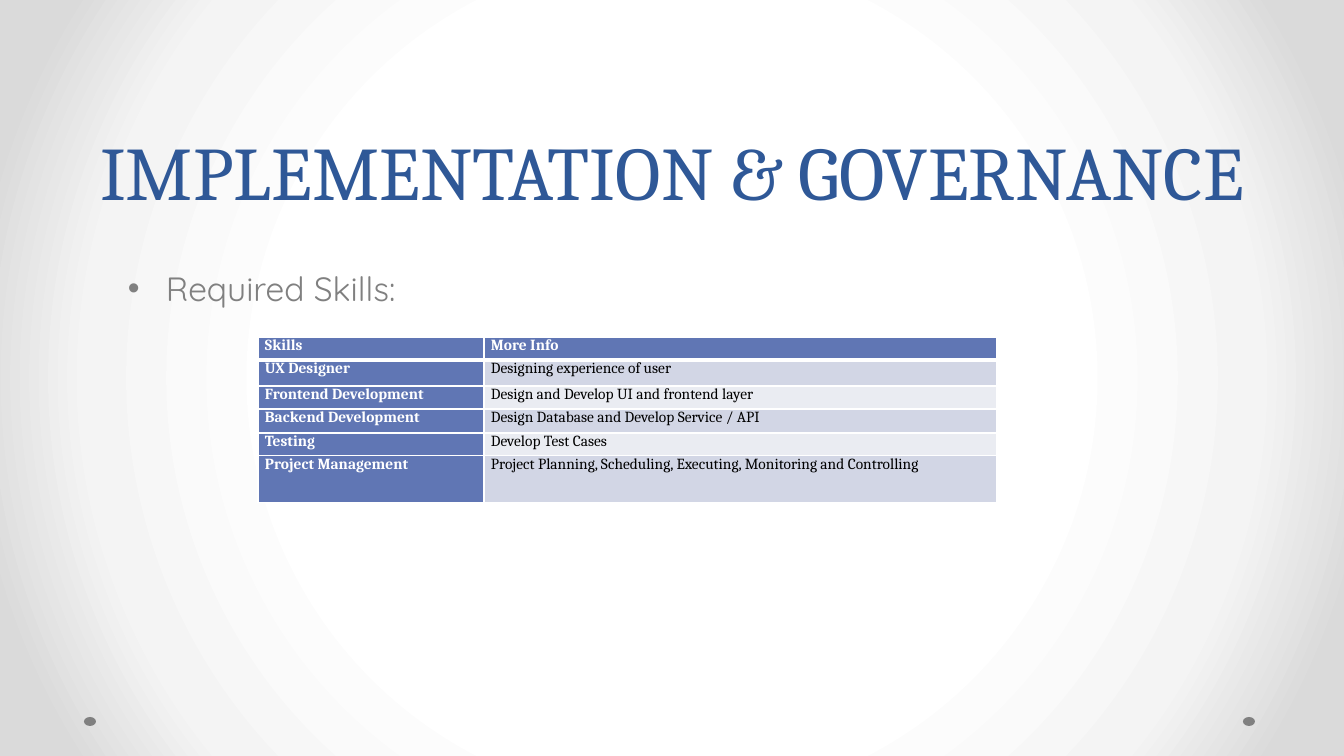
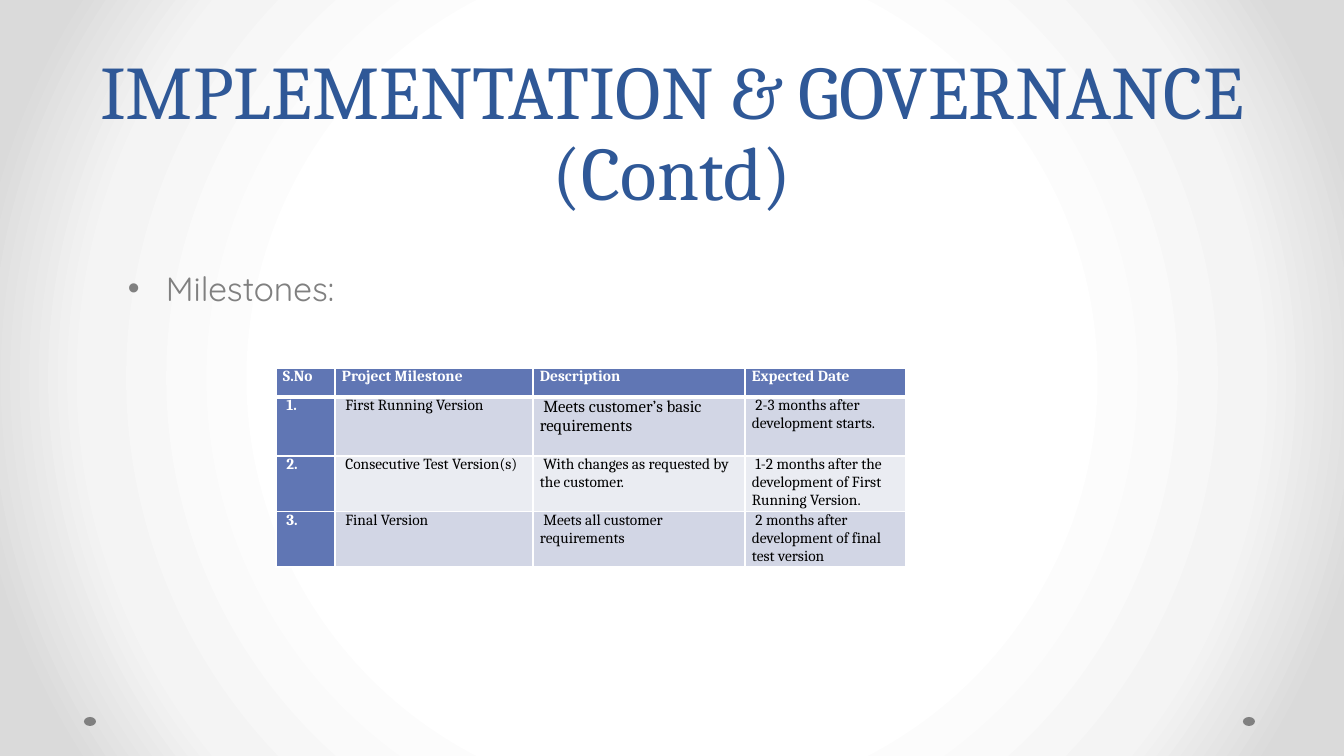
import dataclasses

import lxml.etree
import pptx
import pptx.dml.color
import pptx.enum.shapes
import pptx.enum.text
import pptx.oxml
import pptx.oxml.ns
import pptx.util

SCALE = 914400 / 100.8
SHAPE = pptx.enum.shapes.MSO_SHAPE
ALIGN = pptx.enum.text.PP_ALIGN
ANCHOR = pptx.enum.text.MSO_ANCHOR
BLANK = 6


@dataclasses.dataclass(frozen=True)
class Theme:
    head: str = "2F5897"
    grey: str = "808080"
    blue: str = "6076B4"
    bands: tuple = ("D2D6E5", "EAECF2")
    white: str = "FFFFFF"
    black: str = "000000"
    stops: tuple = ((50, "FFFFFF"), (76, "F4F4F4"), (92, "DADADA"))
    serif: str = "Cambria"
    sans: str = "Quicksand"
    title: int = 54
    lead: int = 58
    body: int = 24
    cell: int = 11
    large: int = 12
    thin: int = 1
    thick: int = 3


def px(*sizes):
    return [pptx.util.Emu(round(size * SCALE)) for size in sizes]


def rgb(color):
    return pptx.dml.color.RGBColor.from_string(color)


def node(text):
    space = pptx.oxml.ns.nsdecls("a")
    return pptx.oxml.parse_xml(text.replace(" ", f" {space} ", 1))


class Deck:
    def __init__(self, theme):
        self.theme = theme
        self.file = pptx.Presentation()
        self.file.slide_width, self.file.slide_height = px(1344, 756)
        self.slide = None
        self.glow()

    def glow(self):
        master = self.file.slide_master
        master.background.fill.gradient()
        old = master.element.find(".//" + pptx.oxml.ns.qn("a:gradFill"))
        stops = "".join(
            f'<a:gs pos="{place * 1000}"><a:srgbClr val="{color}"/></a:gs>'
            for place, color in self.theme.stops
        )
        fade = node(
            f'<a:gradFill rotWithShape="1"><a:gsLst>{stops}</a:gsLst>'
            '<a:path path="circle"><a:fillToRect l="50000" t="50000" r="50000" b="50000"/>'
            "</a:path></a:gradFill>"
        )
        old.getparent().replace(old, fade)

    def page(self, title, point):
        self.slide = self.file.slides.add_slide(self.file.slide_layouts[BLANK])
        for left in (1243, 84):
            self.dot(left, 717)
        self.title(title)
        self.point(point)

    def dot(self, left, top):
        dot = self.slide.shapes.add_shape(SHAPE.OVAL, *px(left, top, 12, 9))
        dot.shadow.inherit = False
        dot.fill.solid()
        dot.fill.fore_color.rgb = rgb(self.theme.grey)
        dot.line.fill.background()

    def run(self, para, text, font, size, color, bold=False):
        run = para.add_run()
        run.text = text
        run.font.name = font
        run.font.size = pptx.util.Pt(size)
        run.font.color.rgb = rgb(color)
        run.font.bold = bold

    def box(self, *place):
        frame = self.slide.shapes.add_textbox(*px(*place)).text_frame
        frame.word_wrap = True
        return frame

    def title(self, text):
        frame = self.box(67, 45, 1210, 176)
        frame.vertical_anchor = ANCHOR.BOTTOM
        para = frame.paragraphs[0]
        para.alignment = ALIGN.CENTER
        para.line_spacing = pptx.util.Pt(self.theme.lead)
        self.run(para, text, self.theme.serif, self.theme.title, self.theme.head)

    def point(self, text):
        para = self.box(118, 243, 1109, 433).paragraphs[0]
        para.line_spacing = 1.5
        para.space_before = pptx.util.Pt(self.theme.body * 0.2)
        dent = px(38)[0]
        props = para._p.get_or_add_pPr()
        props.set("marL", str(dent))
        props.set("indent", str(-dent))
        props.append(node('<a:buFont typeface="Arial"/>'))
        props.append(node('<a:buChar char="•"/>'))
        self.run(para, text, self.theme.sans, self.theme.body, self.theme.grey)

    def edge(self, cell, top):
        props = cell._tc.get_or_add_tcPr()
        thin = self.theme.thin
        sides = {"L": thin, "R": thin}
        if top:
            sides["T"] = thin
        sides["B"] = self.theme.thick if top else thin
        for side, width in sides.items():
            props.append(node(
                f'<a:ln{side} w="{pptx.util.Pt(width)}"><a:solidFill>'
                f'<a:srgbClr val="{self.theme.white}"/></a:solidFill></a:ln{side}>'
            ))

    def cell(self, cell, text, row, col):
        theme = self.theme
        label = row == 0 or col == 0
        self.edge(cell, row == 0)
        cell.fill.solid()
        cell.fill.fore_color.rgb = rgb(theme.blue if label else theme.bands[(row - 1) % 2])
        cell.margin_left, cell.margin_right = px(7, 7)
        cell.margin_top = cell.margin_bottom = 0
        parts = [(text, theme.cell)] if isinstance(text, str) else text
        for part, size in parts:
            color = theme.white if label else theme.black
            self.run(cell.text_frame.paragraphs[0], part, theme.serif, size, color, label)

    def table(self, left, top, cols, rows, data):
        place = px(left, top, sum(cols), sum(rows))
        table = self.slide.shapes.add_table(len(rows), len(cols), *place).table
        for col, width in zip(table.columns, px(*cols)):
            col.width = width
        for row, height in zip(table.rows, px(*rows)):
            row.height = height
        for row, line in enumerate(data):
            for col, text in enumerate(line):
                self.cell(table.cell(row, col), text, row, col)


def main():
    theme = Theme()
    deck = Deck(theme)
    head = "IMPLEMENTATION & GOVERNANCE"

    deck.page(head, "Required Skills:")
    deck.table(258, 337, (226, 513), (23, 26, 23, 24, 23, 47), (
        ("Skills", "More Info"),
        ("UX Designer", "Designing experience of user"),
        ("Frontend Development", "Design and Develop UI and frontend layer"),
        ("Backend Development", "Design Database and Develop Service / API"),
        ("Testing", "Develop Test Cases"),
        ("Project Management",
         "Project Planning, Scheduling, Executing, Monitoring and Controlling"),
    ))

    deck.page(f"{head} (Contd)", "Milestones:")
    deck.table(276, 368, (59, 198, 212, 161), (29, 59, 53, 53), (
        ("S.No", "Project Milestone", "Description", "Expected Date"),
        (" 1.", " First Running Version",
         ((" ", theme.cell), ("Meets customer’s basic requirements", theme.large)),
         " 2-3 months after development starts."),
        (" 2.", " Consecutive Test Version(s)",
         " With changes as requested by the customer.",
         " 1-2 months after the development of First Running Version."),
        (" 3.", " Final Version", " Meets all customer requirements",
         " 2 months after development of final test version"),
    ))
    deck.file.save("out.pptx")


if __name__ == "__main__":
    main()
